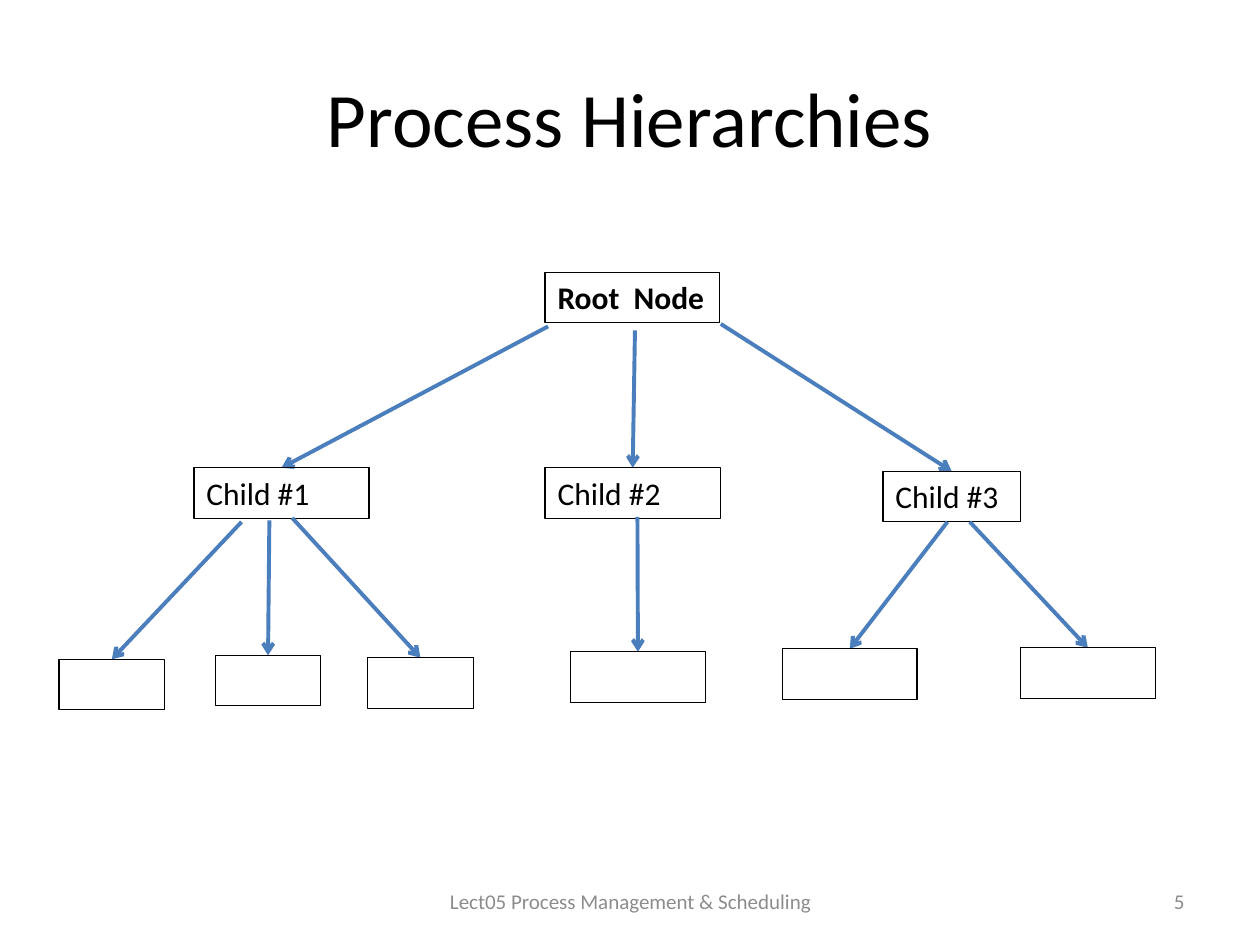
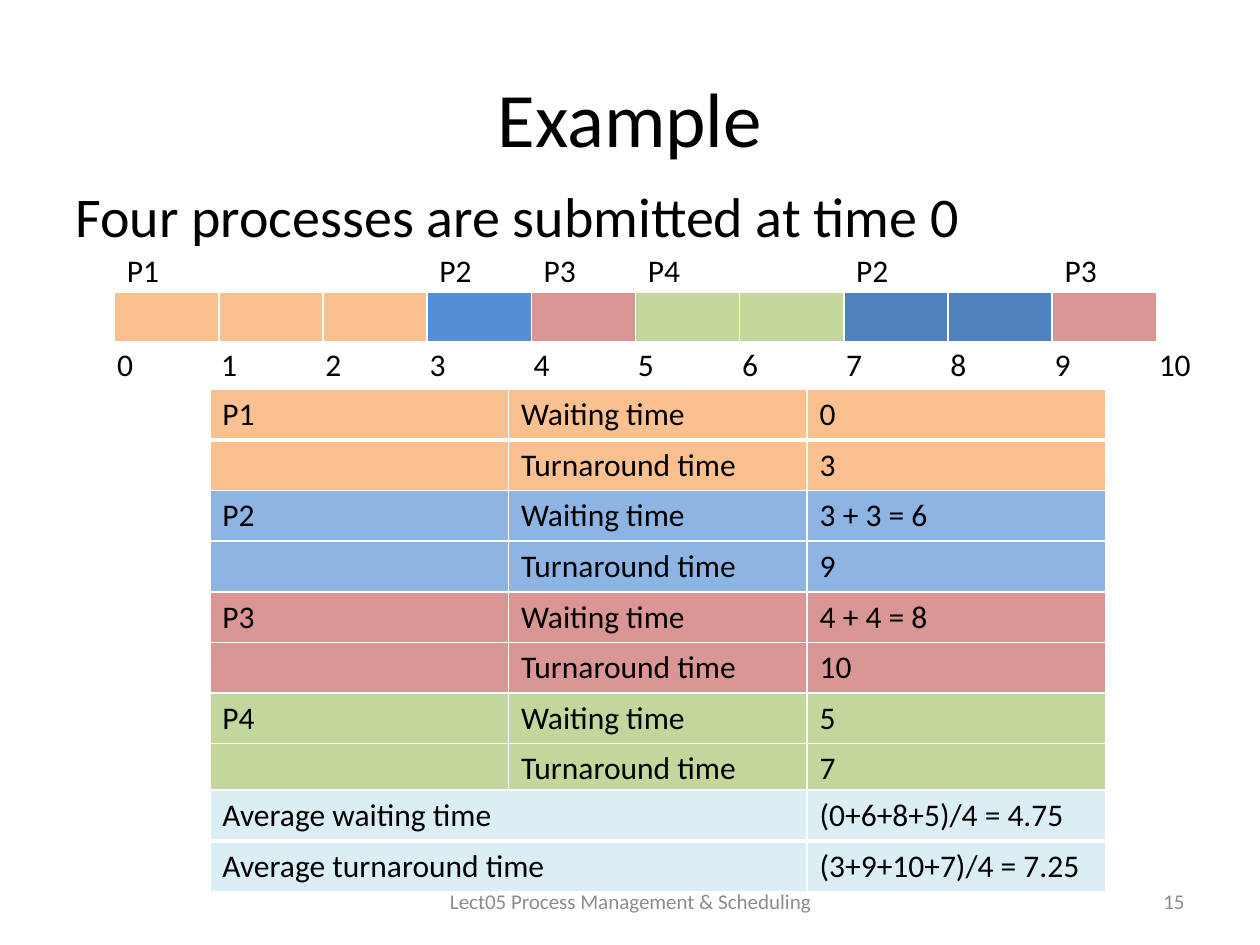
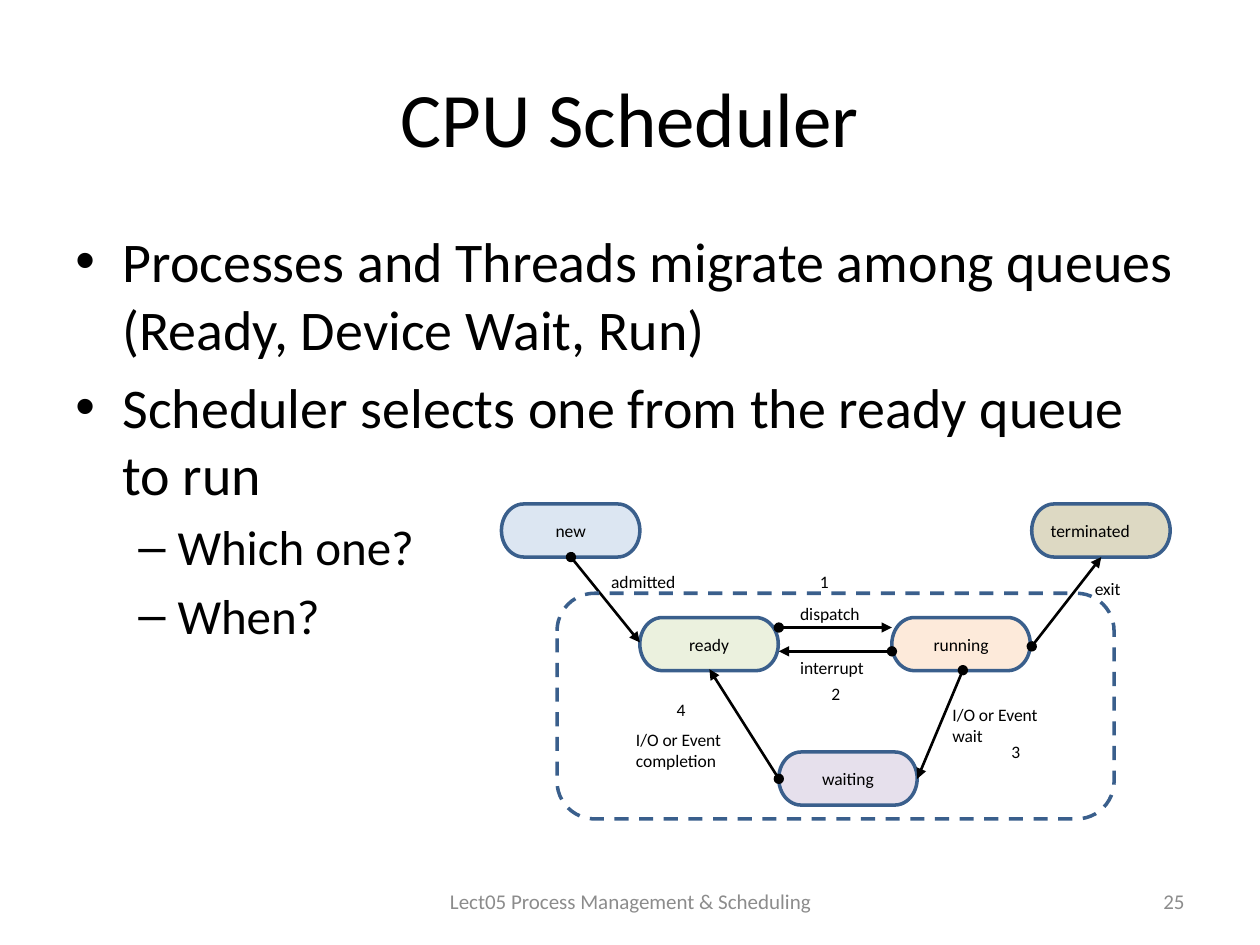
import pptx
import pptx.dml.color
import pptx.enum.dml
import pptx.enum.shapes
import pptx.enum.text
import pptx.oxml.ns
import pptx.util
from lxml import etree

Cm = pptx.util.Cm
Pt = pptx.util.Pt
Shape = pptx.enum.shapes.MSO_SHAPE
Align = pptx.enum.text.PP_ALIGN
Anchor = pptx.enum.text.MSO_ANCHOR

FOOTER = "Lect05 Process Management & Scheduling"
BLACK, WHITE, GREY = "000000", "FFFFFF", "8C8C8C"
ARROW_BLUE, OUTLINE_BLUE = "4B7EBC", "3A5F8C"
ORANGE, RED, GREEN = "FAC090", "D99694", "C3D69B"
BLUE, MID_BLUE, DEEP_BLUE, PALE_BLUE = "8EB4E3", "558ED5", "4F81BD", "DBEEF4"

TITLE_BOX = (1.27, 0.76, 22.86, 3.18)
FOOTER_BOX = (8.69, 17.65, 8.05, 1.02)
NUMBER_BOX = (18.21, 17.65, 5.92, 1.02)


def color(value):
    """Turn a hex string into a colour."""
    return pptx.dml.color.RGBColor.from_string(value)


def add_xml(parent, tag, **attributes):
    """Append a drawing element and return it."""
    return etree.SubElement(parent, pptx.oxml.ns.qn(tag), attributes)


def apply(target, formats):
    """Set each named attribute of the target."""
    for name, value in formats.items():
        setattr(target, name, value)


def write(para, text, size=18, fill=BLACK, bold=False):
    """Put one formatted run into a paragraph."""
    span = para.add_run()
    span.text = text
    apply(span.font, {"name": "Calibri", "size": Pt(size), "bold": bold})
    span.font.color.rgb = color(fill)


def add_text(page, box, text, align=Align.LEFT, anchor=Anchor.TOP, wrap=True, **style):
    """Add a text box with one paragraph."""
    frame = page.shapes.add_textbox(*map(Cm, box)).text_frame
    apply(frame, {"word_wrap": wrap, "vertical_anchor": anchor})
    frame.paragraphs[0].alignment = align
    write(frame.paragraphs[0], text, **style)


def add_node(page, box, kind, line, width, text="", fill=None,
             align=Align.LEFT, anchor=Anchor.MIDDLE, wrap=True, **style):
    """Add an outlined shape, with a fill and a label where given."""
    node = page.shapes.add_shape(kind, *map(Cm, box))
    node.shadow.inherit = False
    node.line.color.rgb = color(line)
    node.line.width = Pt(width)
    if fill:
        node.fill.solid()
        node.fill.fore_color.rgb = color(fill)
    else:
        node.fill.background()
    if text:
        apply(node.text_frame, {"word_wrap": wrap, "vertical_anchor": anchor})
        node.text_frame.paragraphs[0].alignment = align
        write(node.text_frame.paragraphs[0], text, **style)
    return node


def add_arrow(page, start, end, line, width, tail, head="none"):
    """Add a straight connector with line ends."""
    straight = pptx.enum.shapes.MSO_CONNECTOR.STRAIGHT
    arrow = page.shapes.add_connector(straight, *map(Cm, (*start, *end)))
    arrow.line.color.rgb = color(line)
    arrow.line.width = Pt(width)
    stroke = arrow.line._get_or_add_ln()
    add_xml(stroke, "a:headEnd", type=head)
    add_xml(stroke, "a:tailEnd", type=tail)
    add_xml(arrow._element.spPr, "a:effectLst")


def add_borders(cell, bottom):
    """Give a cell white edges, with its own bottom width."""
    properties = cell._tc.get_or_add_tcPr()
    edges = {"a:lnL": 1, "a:lnR": 1, "a:lnT": 1, "a:lnB": bottom}
    for position, (tag, width) in enumerate(edges.items()):
        edge = add_xml(properties, tag, w=str(Pt(width)))
        add_xml(add_xml(edge, "a:solidFill"), "a:srgbClr", val=WHITE)
        properties.insert(position, edge)


def add_grid(page, box, widths, rows):
    """Add a table from rows that hold a fill for each cell and its text."""
    left, top, row_height = box
    frame = page.shapes.add_table(len(rows), len(widths), Cm(left), Cm(top),
                                  Cm(sum(widths)), Cm(row_height * len(rows)))
    grid = frame.table
    apply(grid, {"first_row": False, "horz_banding": False})
    for column, width in zip(grid.columns, widths):
        column.width = Cm(width)
    for index, cells in enumerate(rows):
        grid.rows[index].height = Cm(row_height)
        for place, (fill, text) in enumerate(cells):
            cell = grid.cell(index, place)
            cell.fill.solid()
            cell.fill.fore_color.rgb = color(fill)
            add_borders(cell, 1 if index else 3)
            if text:
                write(cell.text_frame.paragraphs[0], text)


def add_page(deck, title, number):
    """Add a slide with its title, footer and number."""
    page = deck.slides.add_slide(deck.slide_layouts[6])
    middle = Anchor.MIDDLE
    add_text(page, TITLE_BOX, title, Align.CENTER, middle, size=44)
    add_text(page, FOOTER_BOX, FOOTER, Align.CENTER, middle, size=12, fill=GREY)
    add_text(page, NUMBER_BOX, str(number), Align.RIGHT, middle, size=12, fill=GREY)
    return page


def draw_tree(page, left, top):
    """Draw the process tree, each arrow ending above its node."""
    height = 1.02
    nodes = [
        ("Root  Node", 9.8, 0, 3.51, None),
        ("Child #1", 2.72, 3.94, 3.53, (9.86, 1.09)),
        ("Child #2", 9.8, 3.94, 3.53, (11.61, 1.17)),
        ("Child #3", 16.61, 4.01, 2.77, (13.34, 1.04)),
        ("", 0, 7.8, 2.13, (3.68, 5.03)),
        ("", 3.15, 7.72, 2.13, (4.24, 5)),
        ("", 6.22, 7.77, 2.13, (4.7, 4.95)),
        ("", 10.31, 7.65, 2.72, (11.66, 4.93)),
        ("", 14.58, 7.59, 2.72, (17.91, 5.03)),
        ("", 19.38, 7.57, 2.72, (18.36, 5.03)),
    ]
    for text, x, y, width, start in nodes:
        if start:
            add_arrow(page, (left + start[0], top + start[1]),
                      (left + x + width / 2, top + y), ARROW_BLUE, 2.25, "arrow")
        add_node(page, (left + x, top + y, width, height), Shape.RECTANGLE, BLACK, 0.75,
                 text, anchor=Anchor.TOP, wrap=False, bold=text.startswith("Root"))


def draw_timeline(page, left, top):
    """Draw the time slots with process names above and times below."""
    slot = 2.1
    fills = [ORANGE] * 3 + [MID_BLUE, RED] + [GREEN] * 2 + [DEEP_BLUE] * 2 + [RED]
    starts = [(0, "P1"), (3, "P2"), (4, "P3"), (5, "P4"), (7, "P2"), (9, "P3")]
    add_grid(page, (left, top + 0.96, 1.03), [slot] * len(fills),
             [[(fill, "") for fill in fills]])
    for time, name in starts:
        add_text(page, (left + time * slot, top, 1.17, 1.02), name, wrap=False)
    for time in range(len(fills) + 1):
        width = 0.51 + 0.33 * len(str(time))
        add_text(page, (left - 0.2 + time * slot, top + 1.9, width, 1.02), str(time), wrap=False)


def draw_results(page, left, top):
    """Draw the times of each process and their averages."""
    column, row_height = 6.02, 1.02
    results = [("P1", ORANGE, "0", "3"), ("P2", BLUE, "3 + 3 = 6", "9"),
               ("P3", RED, "4 + 4 = 8", "10"), ("P4", GREEN, "5", "7")]
    rows = []
    for name, fill, waiting, turnaround in results:
        rows.append([(fill, name), (fill, "Waiting time"), (fill, waiting)])
        rows.append([(fill, ""), (fill, "Turnaround time"), (fill, turnaround)])
    averages = [("Average waiting time", "(0+6+8+5)/4 = 4.75"),
                ("Average turnaround time", "(3+9+10+7)/4 = 7.25")]
    add_grid(page, (left, top, row_height), [column] * 3, rows)
    add_grid(page, (left, top + 8.08, row_height), [column * 2, column],
             [[(PALE_BLUE, text) for text in pair] for pair in averages])


def draw_bullets(page, box, items):
    """Write a bulleted list of two levels."""
    levels = [("•", 32, 0.95, -0.95), ("–", 28, 2.06, -0.79)]
    frame = page.shapes.add_textbox(*map(Cm, box)).text_frame
    frame.word_wrap = True
    for index, (level, text) in enumerate(items):
        mark, size, margin, indent = levels[level]
        para = frame.add_paragraph() if index else frame.paragraphs[0]
        properties = para._p.get_or_add_pPr()
        properties.set("marL", str(Cm(margin)))
        properties.set("indent", str(Cm(indent)))
        add_xml(properties, "a:buFont", typeface="Arial")
        add_xml(properties, "a:buChar", char=mark)
        para.level = level
        if index:
            para.space_before = Pt(size * 0.2)
        write(para, text, size)


def draw_states(page, left, top):
    """Draw the process states and the moves between them."""
    width, height = 2.79, 1.07
    states = [("new", 0, 0, "DCE6F2"), ("terminated", 10.69, 0, "DDD9C3"),
              ("ready", 2.79, 2.29, "EBF1DE"), ("running", 7.87, 2.29, "FDEADA"),
              ("waiting", 5.59, 5, "E6E0EC")]
    moves = [((1.4, 1.07), (2.79, 2.79)), ((5.59, 2.49), (7.87, 2.49)),
             ((10.69, 2.87), (12.09, 1.07)), ((9.3, 3.35), (8.38, 5.54)),
             ((7.87, 2.97), (5.59, 2.97)), ((5.59, 5.54), (4.19, 3.33))]
    labels = [("admitted", 1.96, 1.22, 1.96), ("dispatch", 5.77, 1.88, 1.96),
              ("interrupt", 5.77, 2.97, 1.96), ("exit", 11.71, 1.37, 1.3),
              ("I/O or Event completion", 2.46, 4.42, 2.69),
              ("I/O or Event wait", 8.84, 3.91, 2.69),
              ("1", 6.17, 1.22, 0.64), ("2", 6.4, 3.48, 0.64),
              ("3", 10.03, 4.65, 0.64), ("4", 3.28, 3.81, 0.64)]
    for name, x, y, fill in states:
        align = Align.LEFT if name == "terminated" else Align.CENTER
        add_node(page, (left + x, top + y, width, height), Shape.FLOWCHART_TERMINATOR,
                 OUTLINE_BLUE, 2, name, fill, align, size=10)
    for start, end in moves:
        add_arrow(page, (left + start[0], top + start[1]), (left + end[0], top + end[1]),
                  BLACK, 1.5, "triangle", "oval")
    for text, x, y, label_width in labels:
        add_text(page, (left + x, top + y, label_width, 0.69), text, size=10)
    frame = add_node(page, (left + 1.12, top + 1.8, 11.23, 4.55), Shape.ROUNDED_RECTANGLE,
                     OUTLINE_BLUE, 2)
    frame.line.dash_style = pptx.enum.dml.MSO_LINE.DASH


def main():
    """Build the three slides and save them."""
    deck = pptx.Presentation()
    apply(deck, {"slide_width": Cm(25.4), "slide_height": Cm(19.05)})

    draw_tree(add_page(deck, "Process Hierarchies", 5), 1.19, 5.49)

    example = add_page(deck, "Example", 15)
    add_text(example, (1.27, 3.53, 22.86, 2.72), "Four processes are submitted at time 0", size=32)
    draw_timeline(example, 2.31, 4.93)
    draw_results(example, 4.23, 7.85)

    scheduler = add_page(deck, "CPU Scheduler", 25)
    draw_bullets(scheduler, (1.27, 4.45, 22.86, 12.57), [
        (0, "Processes and Threads migrate among queues (Ready, Device Wait, Run)"),
        (0, "Scheduler selects one from the ready queue to run"),
        (1, "Which one?"),
        (1, "When?"),
    ])
    draw_states(scheduler, 10.11, 10.16)

    deck.save("out.pptx")


if __name__ == "__main__":
    main()
